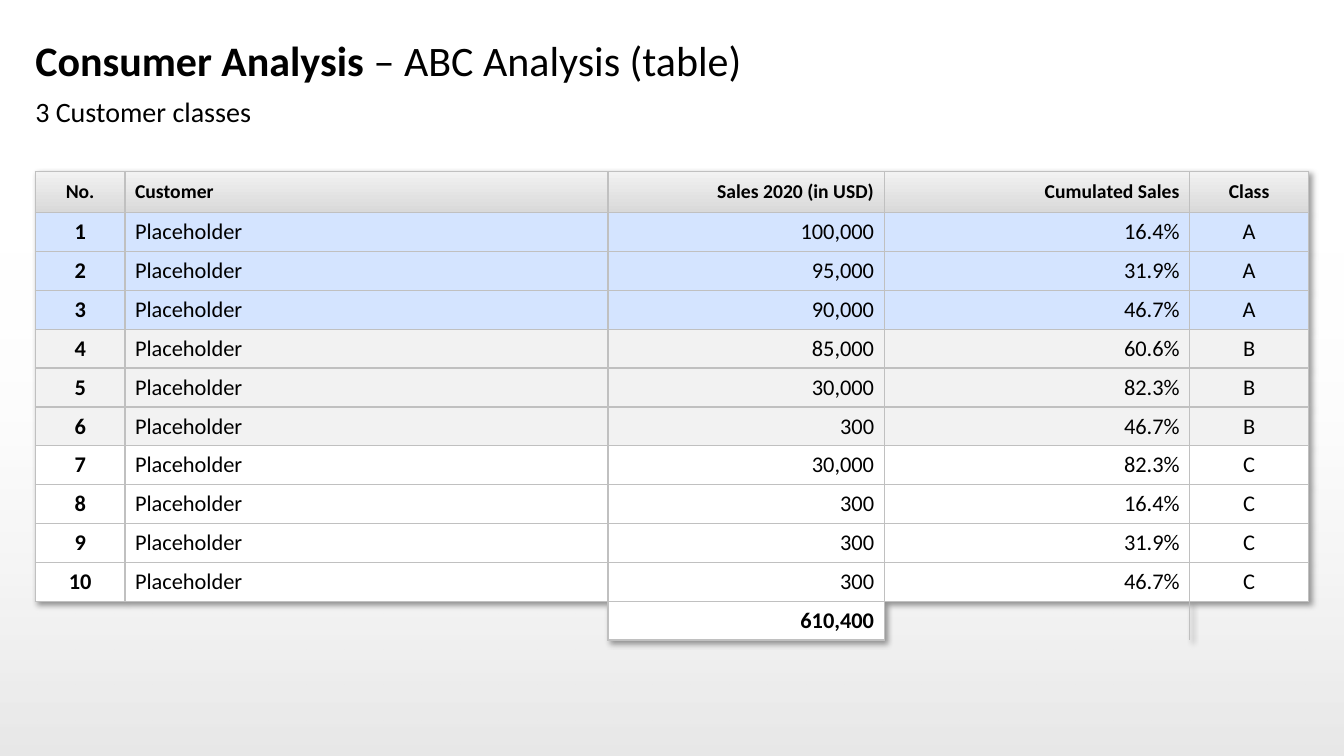
import dataclasses

import pptx
import pptx.dml.color
import pptx.enum.shapes
import pptx.enum.text
import pptx.oxml
import pptx.oxml.ns
import pptx.util

Inches = pptx.util.Inches
Pt = pptx.util.Pt
ALIGN = pptx.enum.text.PP_ALIGN
ANCHOR = pptx.enum.text.MSO_ANCHOR


@dataclasses.dataclass(frozen=True)
class Theme:
    font: str = "Calibri"
    text: str = "000000"
    border: str = "C0C0C0"
    white: str = "FFFFFF"
    header_top: str = "F2F2F2"
    header_bottom: str = "D9D9D9"
    class_a: str = "D4E4FF"
    class_b: str = "F2F2F2"
    title_size: int = 30
    subtitle_size: int = 20
    header_size: int = 14
    body_size: int = 16


THEME = Theme()
CLASS_FILLS = {"A": THEME.class_a, "B": THEME.class_b, "C": THEME.white}

LEFT, WIDTH = 0.35, 12.62
TABLE_TOP, TABLE_HEIGHT, HEADER_HEIGHT = 1.7, 4.65, 0.41
COLUMN_WIDTHS = [0.89, 4.79, 2.74, 3.03, 1.18]
COLUMN_ALIGNS = [ALIGN.CENTER, ALIGN.LEFT, ALIGN.RIGHT, ALIGN.RIGHT, ALIGN.CENTER]
HEADERS = ["No.", "Customer", "Sales 2020 (in USD)", "Cumulated Sales", "Class"]
CUSTOMERS = [
    ("100,000", "16.4%", "A"),
    ("95,000", "31.9%", "A"),
    ("90,000", "46.7%", "A"),
    ("85,000", "60.6%", "B"),
    ("30,000", "82.3%", "B"),
    ("300", "46.7%", "B"),
    ("30,000", "82.3%", "C"),
    ("300", "16.4%", "C"),
    ("300", "31.9%", "C"),
    ("300", "46.7%", "C"),
]
TOTAL_SALES = "610,400"
SALES_COLUMN = 2
TOTAL_ROW_SIDES = ["T", "RT", "LRTB", "LT", "T"]
NO_STYLE = "{2D5ABB26-0587-4C30-8999-92F81FD0307C}"


def xml(markup):
    head, tail = markup.split(">", 1)
    namespace = pptx.oxml.ns.nsdecls("a")
    return pptx.oxml.parse_xml(f"{head} {namespace}>{tail}")


def gradient(start, end, angle, start_alpha=100, end_alpha=100):
    stops = "".join(
        f'<a:gs pos="{position * 1000}"><a:srgbClr val="{color}">'
        f'<a:alpha val="{alpha * 1000}"/></a:srgbClr></a:gs>'
        for position, color, alpha in [(0, start, start_alpha), (100, end, end_alpha)]
    )
    return xml(
        f'<a:gradFill rotWithShape="1"><a:gsLst>{stops}</a:gsLst>'
        f'<a:lin ang="{angle * 60000}" scaled="0"/></a:gradFill>'
    )


def add_run(paragraph, text, size, bold=False):
    run = paragraph.add_run()
    run.text = text
    run.font.name = THEME.font
    run.font.size = Pt(size)
    run.font.bold = bold
    run.font.color.rgb = pptx.dml.color.RGBColor.from_string(THEME.text)


def add_backdrop(slide):
    backdrop = slide.shapes.add_shape(
        pptx.enum.shapes.MSO_SHAPE.RECTANGLE,
        Inches(0), Inches(2.21), Inches(13.33), Inches(5.29),
    )
    backdrop.shadow.inherit = False
    backdrop.line.fill.background()
    fade = gradient(THEME.text, THEME.white, 270, 10, 0)
    backdrop.element.spPr.insert(2, fade)
    slide.shapes.element.insert(2, backdrop.element)


def write_heading(shape, top, height, runs, size, anchor):
    shape.left, shape.top = Inches(LEFT), Inches(top)
    shape.width, shape.height = Inches(WIDTH), Inches(height)
    frame = shape.text_frame
    frame.word_wrap = True
    frame.auto_size = pptx.enum.text.MSO_AUTO_SIZE.NONE
    frame.vertical_anchor = anchor
    frame.margin_left = frame.margin_right = frame.margin_top = frame.margin_bottom = 0
    paragraph = frame.paragraphs[0]
    paragraph.alignment = ALIGN.LEFT
    for text, bold in runs:
        add_run(paragraph, text, size, bold)


def set_borders(cell, sides):
    properties = cell._tc.get_or_add_tcPr()
    for position, side in enumerate(side for side in "LRTB" if side in sides):
        line = xml(
            f'<a:ln{side} w="{Pt(1)}"><a:solidFill><a:srgbClr val="{THEME.border}"/>'
            f"</a:solidFill></a:ln{side}>"
        )
        properties.insert(position, line)


def fill_cell(cell, color):
    cell.fill.solid()
    cell.fill.fore_color.rgb = pptx.dml.color.RGBColor.from_string(color)


def write_cell(cell, text, align, size, bold):
    paragraph = cell.text_frame.paragraphs[0]
    paragraph.alignment = align
    add_run(paragraph, text, size, bold)


def style_table(table):
    table.first_row = table.horz_banding = False
    properties = table._tbl.tblPr
    properties.find(pptx.oxml.ns.qn("a:tableStyleId")).text = NO_STYLE
    shadow = xml(
        '<a:effectLst><a:outerShdw blurRad="50800" dist="38100" dir="2700000" '
        f'algn="tl" rotWithShape="0"><a:srgbClr val="{THEME.text}">'
        '<a:alpha val="40000"/></a:srgbClr></a:outerShdw></a:effectLst>'
    )
    properties.insert(0, shadow)


def add_customer_table(slide):
    row_count = len(CUSTOMERS) + 2
    table = slide.shapes.add_table(
        row_count, len(HEADERS),
        Inches(LEFT), Inches(TABLE_TOP), Inches(WIDTH), Inches(TABLE_HEIGHT),
    ).table
    style_table(table)
    for column, width in zip(table.columns, COLUMN_WIDTHS):
        column.width = Inches(width)
    for row in table.rows:
        row.height = Inches((TABLE_HEIGHT - HEADER_HEIGHT) / (row_count - 1))
    table.rows[0].height = Inches(HEADER_HEIGHT)
    for cell in table.iter_cells():
        cell.margin_top = cell.margin_bottom = 0
        cell.vertical_anchor = ANCHOR.MIDDLE

    for column, (header, align) in enumerate(zip(HEADERS, COLUMN_ALIGNS)):
        cell = table.cell(0, column)
        write_cell(cell, header, align, THEME.header_size, True)
        set_borders(cell, "LRTB")
        cell._tc.tcPr.append(gradient(THEME.header_top, THEME.header_bottom, 90))

    for number, (sales, cumulated, grade) in enumerate(CUSTOMERS, 1):
        values = [str(number), "Placeholder", sales, cumulated, grade]
        for column, (value, align) in enumerate(zip(values, COLUMN_ALIGNS)):
            cell = table.cell(number, column)
            write_cell(cell, value, align, THEME.body_size, column == 0)
            fill_cell(cell, CLASS_FILLS[grade])
            set_borders(cell, "LRTB")

    for column, sides in enumerate(TOTAL_ROW_SIDES):
        set_borders(table.cell(row_count - 1, column), sides)
    total = table.cell(row_count - 1, SALES_COLUMN)
    write_cell(total, TOTAL_SALES, ALIGN.RIGHT, THEME.body_size, True)
    fill_cell(total, THEME.white)


def main():
    presentation = pptx.Presentation()
    presentation.slide_width = Inches(13.33)
    presentation.slide_height = Inches(7.5)
    slide = presentation.slides.add_slide(presentation.slide_layouts[5])
    add_backdrop(slide)
    title_runs = [("Consumer Analysis ", True), ("– ABC Analysis (table)", False)]
    write_heading(slide.shapes.title, 0.26, 0.67, title_runs, THEME.title_size, ANCHOR.MIDDLE)
    subtitle = slide.shapes.add_textbox(0, 0, 0, 0)
    subtitle_runs = [("3 Customer classes", False)]
    write_heading(subtitle, 0.94, 0.37, subtitle_runs, THEME.subtitle_size, ANCHOR.TOP)
    add_customer_table(slide)
    presentation.save("out.pptx")


if __name__ == "__main__":
    main()
